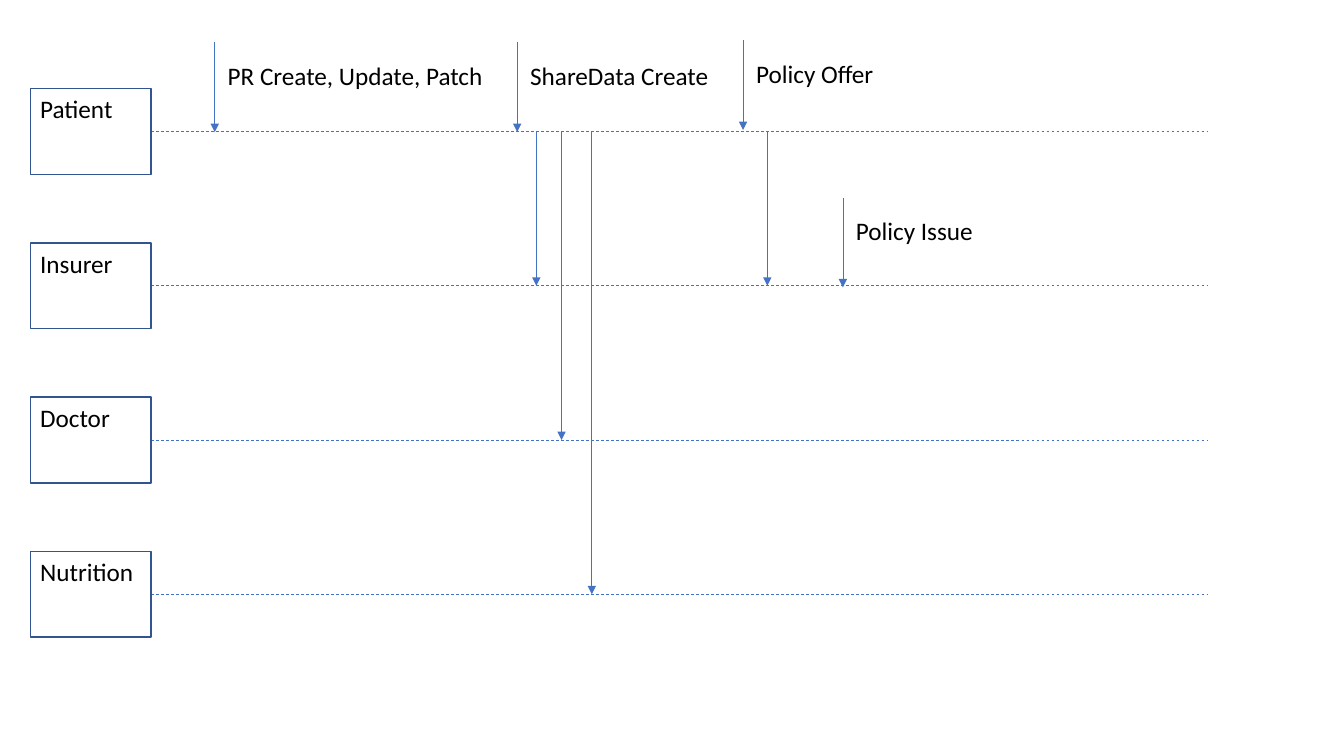
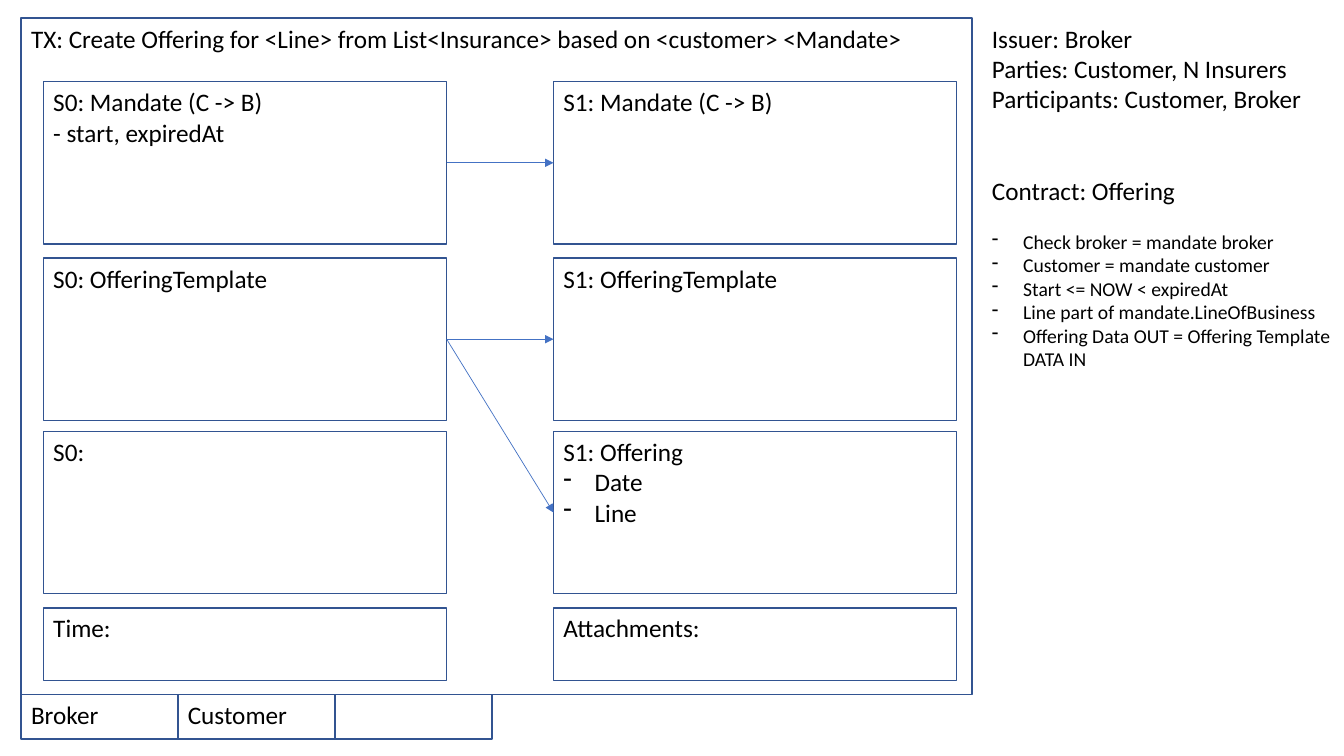
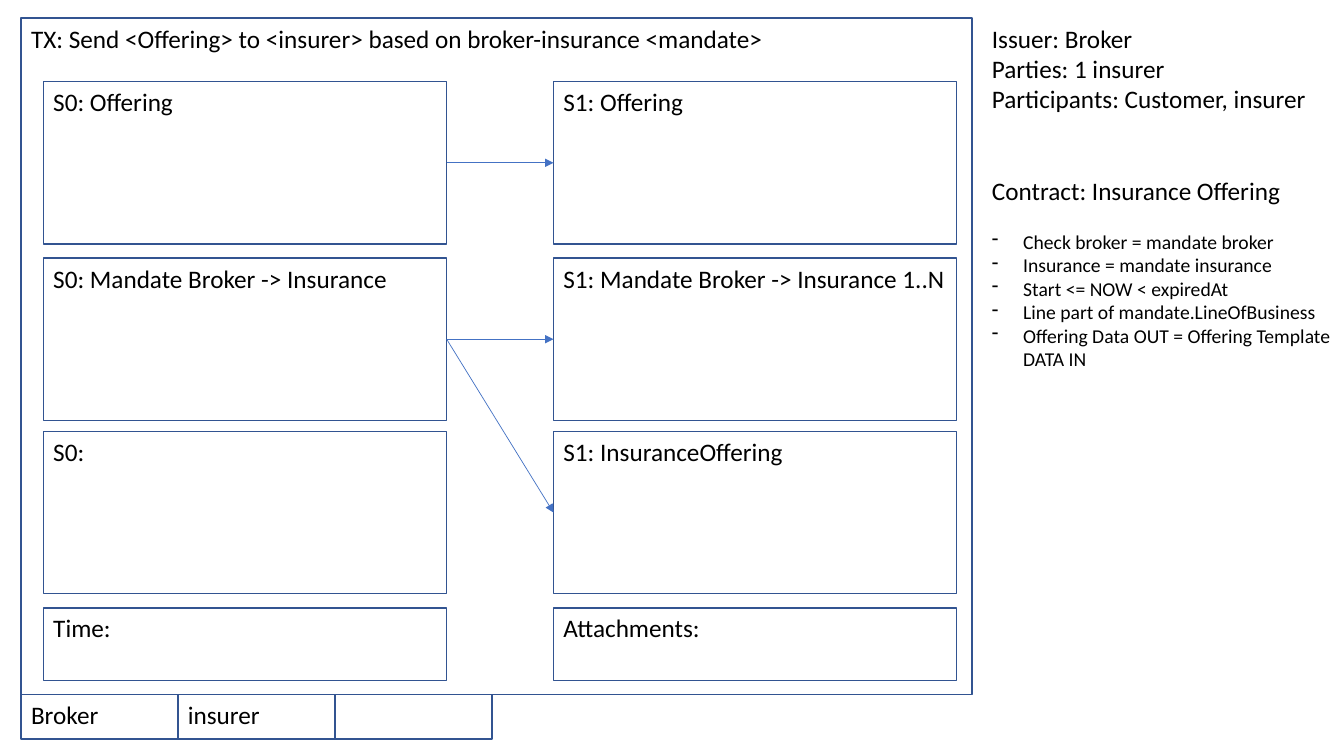
from dataclasses import dataclass
from lxml.etree import SubElement as Sub
from pptx import Presentation
from pptx.dml.color import RGBColor as Rgb
from pptx.enum.dml import MSO_LINE
from pptx.enum.shapes import MSO_CONNECTOR as Conn, MSO_SHAPE as Kind
from pptx.enum.text import MSO_ANCHOR as Anchor, MSO_AUTO_SIZE as Auto, PP_ALIGN as Align
from pptx.oxml.ns import qn
from pptx.util import Inches, Pt


@dataclass(frozen=True)
class Theme:
    font: str = "Calibri"
    ink: Rgb = Rgb(0, 0, 0)
    paper: Rgb = Rgb(255, 255, 255)
    edge: Rgb = Rgb.from_string("325491")
    wire: Rgb = Rgb.from_string("4472C4")
    body: int = 18
    small: int = 14
    border: float = 1
    thin: float = 0.5


THEME = Theme()
LEFT, RIGHT = 1, 3  # connection sites of a rectangle


# Shared parts
def write(frame, lines, size=THEME.body, dash=False, gap=0):
    """Append lines to a frame, with a gap in points above the first."""
    for i, line in enumerate(lines):
        para = frame.add_paragraph() if frame.text else frame.paragraphs[0]
        para.text = line
        para.alignment = Align.LEFT
        para.space_before = Pt(0 if i else gap)
        font = para.runs[0].font
        font.name, font.size = THEME.font, Pt(size)
        font.color.rgb = THEME.ink
        if dash:
            props = para._p.get_or_add_pPr()
            props.set("marL", str(Inches(0.31)))
            props.set("indent", str(-Inches(0.31)))
            Sub(props, qn("a:buChar")).set("char", "-")


def block(slide, box, lines=(), points=(), fill=None):
    rect = slide.shapes.add_shape(Kind.RECTANGLE, *map(Inches, box))
    rect.shadow.inherit = False
    if fill is None:
        rect.fill.background()
    else:
        rect.fill.solid()
        rect.fill.fore_color.rgb = fill
    rect.line.color.rgb = THEME.edge
    rect.line.width = Pt(THEME.border)
    frame = rect.text_frame
    frame.word_wrap = True
    frame.vertical_anchor = Anchor.TOP
    write(frame, lines)
    write(frame, points, dash=True)
    return rect


def label(slide, box, wrap):
    frame = slide.shapes.add_textbox(*map(Inches, box)).text_frame
    frame.word_wrap = wrap
    frame.auto_size = Auto.SHAPE_TO_FIT_TEXT
    return frame


def wire(slide, ends=(0, 0, 0, 0), head=True):
    line = slide.shapes.add_connector(Conn.STRAIGHT, *map(Inches, ends))
    line.line.color.rgb = THEME.wire
    line.line.width = Pt(THEME.thin)
    if head:
        Sub(line.line._get_or_add_ln(), qn("a:tailEnd")).set("type", "triangle")
    else:
        line.line.dash_style = MSO_LINE.DASH
    Sub(line._element.spPr, qn("a:effectLst"))
    return line


# Sequence slide
def lane(slide, box, name):
    left, top, width, high = box
    mid = top + high / 2
    wire(slide, (left + 1.2, mid, left + width, mid), head=False)
    block(slide, (left, top, 1.2, high), [name], fill=THEME.paper)


def event(slide, x, tip, width, name):
    wire(slide, (x, tip - 0.89, x, tip))
    write(label(slide, (x + 0.03, tip - 0.76, width, 0.4), False), [name])


def flow(deck, box, names, events, calls):
    slide = deck.slides.add_slide(deck.slide_layouts[6])
    left, top, width, high = box
    step = 1.53
    for i, name in enumerate(names):
        lane(slide, (left, top + i * step, width, high), name)
    for item in events:
        event(slide, *item)
    start = top + high / 2
    for x, count in calls:
        wire(slide, (x, start, x, start + count * step))


# Transaction slides
def grid(slide, box, rows):
    """Place state cards in two columns and join them with arrows."""
    left, top, width, high = box
    wide = 4
    cols = (left, left + width - wide)
    tops = [top + y for y in (0, 1.75, 3.47)]
    cards = [[block(slide, (x, y, wide, 1.61), *cell, fill=THEME.paper)
              for x, cell in zip(cols, row)] for y, row in zip(tops, rows)]
    for x, name in zip(cols, ("Time:", "Attachments:")):
        block(slide, (x, top + high - 0.72, wide, 0.72), [name])
    for a, b in ((0, 0), (1, 1), (1, 2)):
        line = wire(slide)
        line.begin_connect(cards[a][0], RIGHT)
        line.end_connect(cards[b][1], LEFT)


def notes(slide, box, heads, deal, checks):
    frame = label(slide, box, True)
    write(frame, heads)
    write(frame, [deal], gap=44)
    write(frame, checks, THEME.small, dash=True, gap=17)


def deal(deck, box, title, rows, signer, heads, name, match):
    slide = deck.slides.add_slide(deck.slide_layouts[6])
    left, top, width, high = box
    # Signers below the frame
    for i, lines in enumerate((["Broker"], [signer], [])):
        block(slide, (left + i * 1.555, top + high, 1.56, 0.44), lines)
    # Frame, cards and side text
    block(slide, box, [title])
    grid(slide, (left + 0.22, top + 0.63, 9.06, 5.94), rows)
    checks = ["Check broker = mandate broker", match, "Start <= NOW < expiredAt",
              "Line part of mandate.LineOfBusiness",
              "Offering Data OUT = Offering Template DATA IN"]
    notes(slide, (left + width + 0.1, top, 3.57, 3.57), heads, name, checks)


deck = Presentation()
deck.slide_width, deck.slide_height = Inches(13.33), Inches(7.5)

flow(deck, (0.3, 0.88, 11.67, 0.85),
     ["Patient", "Insurer", "Doctor", "Nutrition"],
     [(2.13, 1.31, 2.76, "PR Create, Update, Patch"),
      (5.13, 1.31, 1.99, "ShareData Create"),
      (7.37, 1.29, 1.38, "Policy Offer"),
      (8.36, 2.85, 1.37, "Policy Issue")],
     [(5.32, 1), (5.57, 2), (5.87, 3), (7.61, 1)])

PANEL = (0.21, 0.18, 9.43, 6.71)
deal(deck, PANEL,
     "TX: Create Offering for <Line> from List<Insurance> based on <customer> <Mandate>",
     [((["S0: Mandate (C -> B)", "- start, expiredAt"],), (["S1: Mandate (C -> B)"],)),
      ((["S0: OfferingTemplate"],), (["S1: OfferingTemplate"],)),
      ((["S0:"],), (["S1: Offering"], ["Date", "Line"]))],
     "Customer",
     ["Issuer: Broker", "Parties: Customer, N Insurers", "Participants: Customer, Broker"],
     "Contract: Offering", "Customer = mandate customer")

deal(deck, PANEL,
     "TX: Send <Offering> to <insurer> based on broker-insurance <mandate>",
     [((["S0: Offering"],), (["S1: Offering"],)),
      ((["S0: Mandate Broker -> Insurance"],), (["S1: Mandate Broker -> Insurance 1..N"],)),
      ((["S0:"],), (["S1: InsuranceOffering"],))],
     "insurer",
     ["Issuer: Broker", "Parties: 1 insurer", "Participants: Customer, insurer"],
     "Contract: Insurance Offering", "Insurance = mandate insurance")

deck.save("out.pptx")
